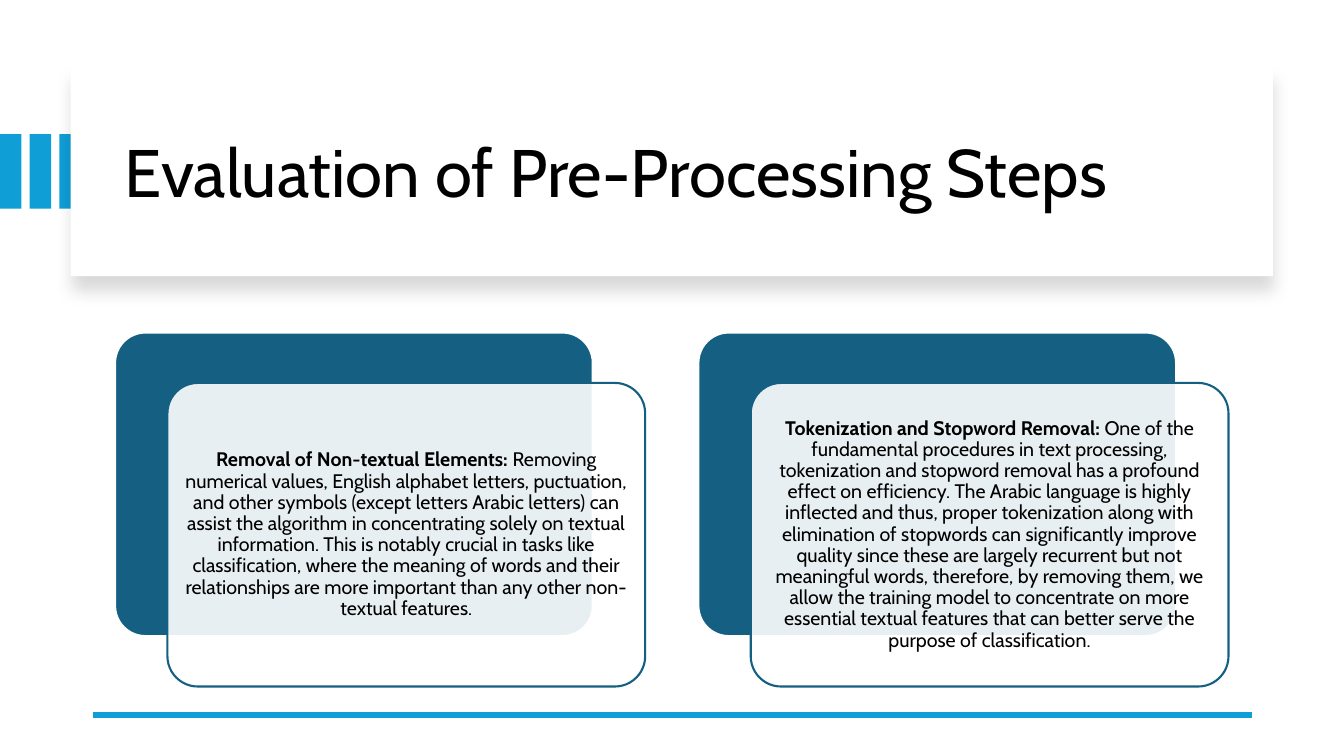
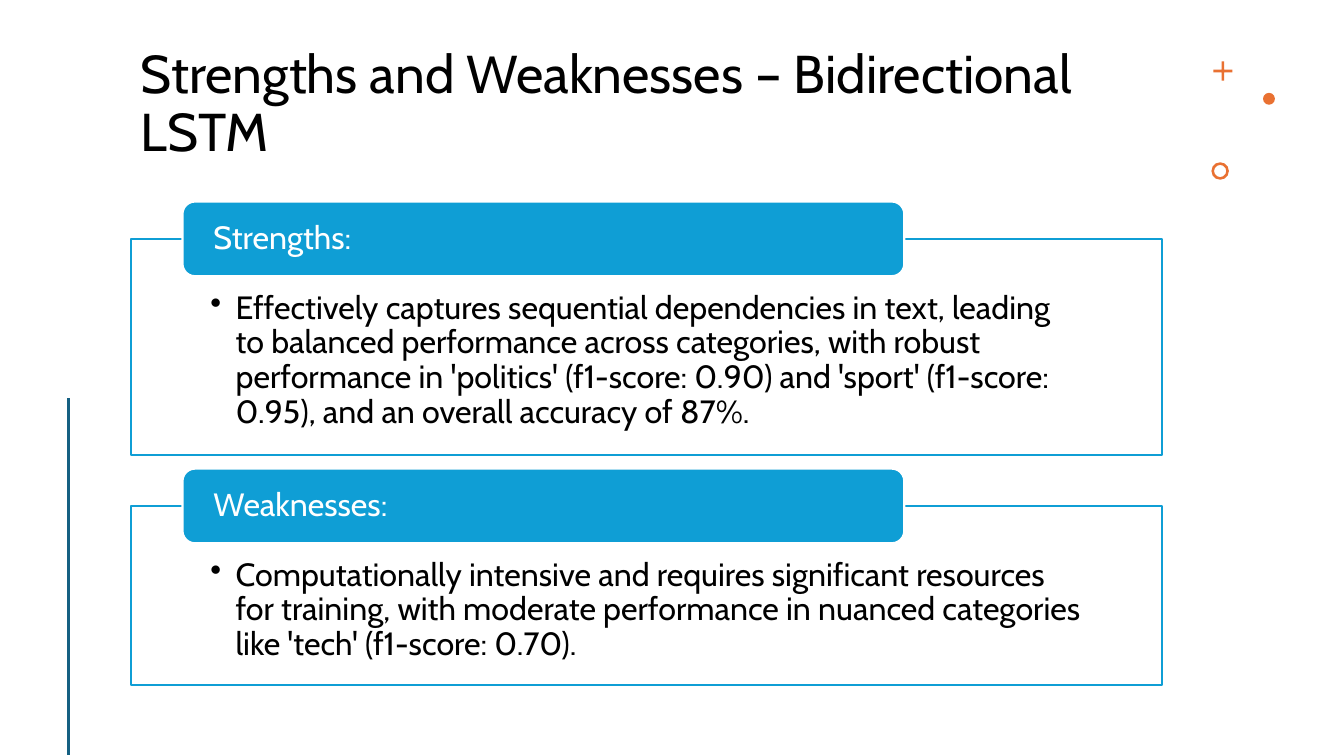
from lxml import etree
from pptx import Presentation
from pptx.dml.color import RGBColor
from pptx.enum.shapes import MSO_CONNECTOR, MSO_SHAPE
from pptx.enum.text import MSO_ANCHOR, MSO_AUTO_SIZE, PP_ALIGN
from pptx.oxml.ns import qn
from pptx.util import Cm, Pt

RECTANGLE = MSO_SHAPE.RECTANGLE
ROUNDED = MSO_SHAPE.ROUNDED_RECTANGLE
CROSS = MSO_SHAPE.CROSS
OVAL = MSO_SHAPE.OVAL
DONUT = MSO_SHAPE.DONUT
STRAIGHT = MSO_CONNECTOR.STRAIGHT
TOP = MSO_ANCHOR.TOP
MIDDLE = MSO_ANCHOR.MIDDLE
LEFT = PP_ALIGN.LEFT
CENTER = PP_ALIGN.CENTER
NO_FIT = MSO_AUTO_SIZE.NONE

FONT = "Cabin"
COLORS = {
    "black": "000000",
    "white": "FFFFFF",
    "blue": "0F9ED5",
    "teal": "156082",
    "orange": "E97132",
}
TITLE_ONLY = 5


def rgb(name):
    return RGBColor.from_string(COLORS[name])


def write(frame, runs, size=14, color="black", align=LEFT, anchor=MIDDLE,
          insets=(0.25, 0.13, 0.25, 0.13), bullet=None):
    frame.word_wrap = True
    frame.auto_size = NO_FIT
    frame.vertical_anchor = anchor
    frame.margin_left, frame.margin_top, frame.margin_right, frame.margin_bottom = map(Cm, insets)
    paragraph = frame.paragraphs[0]
    if bullet:
        properties = paragraph._p.get_or_add_pPr()
        properties.set("marL", str(Cm(0.64)))
        properties.set("indent", str(-Cm(0.64)))
        etree.SubElement(properties, qn("a:buChar"), char=bullet)
    paragraph.alignment = align
    paragraph.line_spacing = 0.9
    for text, bold in runs:
        run = paragraph.add_run()
        run.text = text
        run.font.name = FONT
        run.font.size = Pt(size)
        run.font.bold = bold
        run.font.color.rgb = rgb(color)


class Deck:
    def __init__(self):
        self.presentation = Presentation()
        self.presentation.slide_width = Cm(33.87)
        self.presentation.slide_height = Cm(19.05)
        self.slide = None

    def new_slide(self):
        layout = self.presentation.slide_layouts[TITLE_ONLY]
        self.slide = self.presentation.slides.add_slide(layout)

    def title(self, text, box, size, anchor):
        title = self.slide.shapes.title
        title.left, title.top, title.width, title.height = map(Cm, box)
        write(title.text_frame, [(text, False)], size=size, anchor=anchor)
        title.element.getparent().append(title.element)

    def shape(self, kind, box, fill, line=None, adjust=None, opacity=None):
        shape = self.slide.shapes.add_shape(kind, *map(Cm, box))
        shape.shadow.inherit = False
        shape.fill.solid()
        shape.fill.fore_color.rgb = rgb(fill)
        if opacity:
            color = shape.element.spPr.find(qn("a:solidFill"))[0]
            etree.SubElement(color, qn("a:alpha"), val=str(opacity * 1000))
        if line:
            shape.line.color.rgb = rgb(line)
            shape.line.width = Pt(1.5)
        else:
            shape.line.fill.background()
        if adjust is not None:
            shape.adjustments[0] = adjust
        return shape

    def line(self, start, end, color, width):
        connector = self.slide.shapes.add_connector(STRAIGHT, *map(Cm, start + end))
        connector.line.color.rgb = rgb(color)
        connector.line.width = Pt(width)
        etree.SubElement(connector.element.spPr, qn("a:effectLst"))

    def title_card(self, box):
        card = self.shape(RECTANGLE, box, "white")
        effects = card.element.spPr.find(qn("a:effectLst"))
        shadow = etree.SubElement(effects, qn("a:outerShdw"), blurRad=str(Pt(11)),
                                  dist=str(Pt(10)), dir="5400000", algn="t", rotWithShape="0")
        color = etree.SubElement(shadow, qn("a:srgbClr"), val=COLORS["black"])
        etree.SubElement(color, qn("a:alpha"), val="15000")

    def layered_card(self, left, top, heading, text):
        size = (12.04, 7.65)
        self.shape(ROUNDED, (left, top, *size), "teal", line="white", adjust=0.1)
        front = self.shape(ROUNDED, (left + 1.32, top + 1.27, *size), "white",
                           line="teal", adjust=0.1, opacity=90)
        write(front.text_frame, [(heading, True), (text, False)], align=CENTER,
              insets=(0.15,) * 4)

    def tabbed_panel(self, top, height, heading, text):
        left, tab_height = 3.3, 1.88
        panel = self.shape(RECTANGLE, (left, top, 25.98, height), "white",
                           line="blue", opacity=90)
        write(panel.text_frame, [(text, False)], size=23, anchor=TOP,
              insets=(2, 1.32, 2, 0.46), bullet="•")
        tab = self.shape(ROUNDED, (left + 1.3, top - tab_height / 2, 18.19, tab_height),
                         "blue", line="white")
        write(tab.text_frame, [(heading, False)], size=23, color="white",
              insets=(0.69, 0, 0.69, 0))


def preprocessing_slide(deck):
    deck.new_slide()
    for index in range(3):
        deck.shape(RECTANGLE, (0.75 * index, 3.38, 0.54, 1.88), "blue")
    deck.title_card((1.78, 1.7, 30.3, 5.26))
    deck.title("Evaluation of Pre-Processing Steps", (2.9, 2.26, 28.27, 4.32), 48, MIDDLE)
    deck.line((2.34, 18.01), (31.55, 18.01), "blue", 4.5)
    cards = [
        ("Removal of Non-textual Elements: ",
         "Removing numerical values, English alphabet letters, puctuation, and other symbols "
         "(except letters Arabic letters) can assist the algorithm in concentrating solely on "
         "textual information. This is notably crucial in tasks like classification, where the "
         "meaning of words and their relationships are more important than any other "
         "non-textual features."),
        ("Tokenization and Stopword Removal: ",
         "One of the fundamental procedures in text processing, tokenization and stopword "
         "removal has a profound effect on efficiency. The Arabic language is highly inflected "
         "and thus, proper tokenization along with elimination of stopwords can significantly "
         "improve quality since these are largely recurrent but not meaningful words, "
         "therefore, by removing them, we allow the training model to concentrate on more "
         "essential textual features that can better serve the purpose of classification."),
    ]
    for index, (heading, text) in enumerate(cards):
        deck.layered_card(2.9 + 14.7 * index, 8.38, heading, text)


def strengths_slide(deck):
    deck.new_slide()
    deck.title("Strengths and Weaknesses – Bidirectional LSTM", (3.3, 1.07, 26.47, 3.33), 38, TOP)
    deck.shape(CROSS, (30.58, 1.55, 0.48, 0.48), "orange", adjust=0.43)
    deck.shape(OVAL, (31.83, 2.34, 0.3, 0.3), "orange")
    deck.shape(DONUT, (30.53, 4.09, 0.44, 0.44), "orange", adjust=0.15)
    deck.line((1.73, 10.03), (1.73, 19.03), "teal", 2)
    deck.tabbed_panel(
        6.02, 5.44, "Strengths:",
        "Effectively captures sequential dependencies in text, leading to balanced performance "
        "across categories, with robust performance in 'politics' (f1-score: 0.90) and 'sport' "
        "(f1-score: 0.95), and an overall accuracy of 87%.")
    deck.tabbed_panel(
        12.75, 4.52, "Weaknesses:",
        "Computationally intensive and requires significant resources for training, with "
        "moderate performance in nuanced categories like 'tech' (f1-score: 0.70).")


def main():
    deck = Deck()
    preprocessing_slide(deck)
    strengths_slide(deck)
    deck.presentation.save("out.pptx")


if __name__ == "__main__":
    main()
